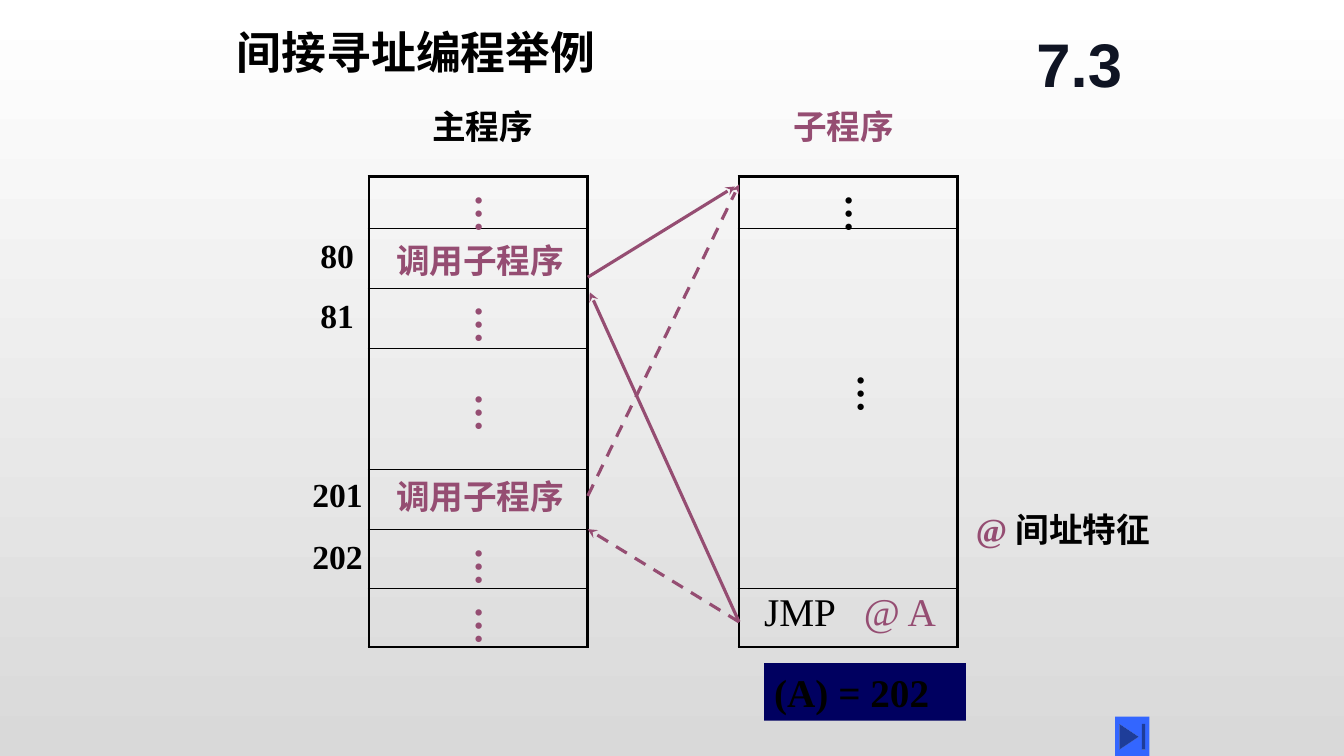
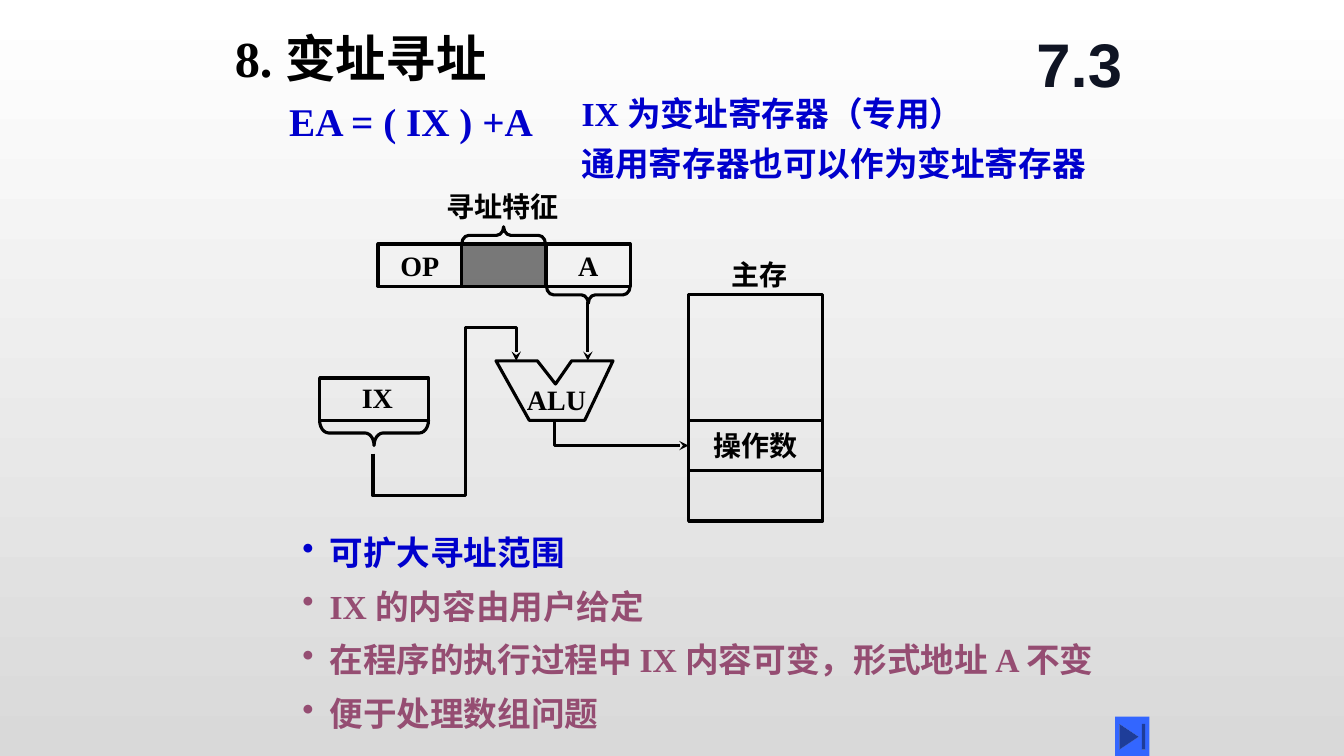
from pptx import Presentation
from pptx.dml.color import RGBColor
from pptx.enum.dml import MSO_LINE
from pptx.enum.shapes import MSO_CONNECTOR, MSO_SHAPE
from pptx.enum.text import MSO_ANCHOR as ANCHOR, MSO_AUTO_SIZE as AUTO, PP_ALIGN as ALIGN
from pptx.oxml.ns import qn
from pptx.util import Pt
from lxml.etree import SubElement

PX = 9144
COLORS = {
    "ink": "000000", "plum": "954D72", "blue": "0000CC", "navy": "000060",
    "section": "0F1423", "button": "3366FF", "sky": "FFFFFF", "ground": "D9D9D9",
}
SERIF, SANS = "Times New Roman", "Arial"
THICK, THIN = 2.25, 1


def px(*lengths):
    """Turn px lengths into a list of EMU."""
    return [round(length * PX) for length in lengths]


def rgb(color):
    """Look up a colour by its name."""
    return RGBColor.from_string(COLORS[color])


def write(frame, *paragraphs, size=24, color="ink", bold=True, font=SERIF,
          align=ALIGN.LEFT, before=0, spacing=None, bullet=0, tab=0):
    """Fill a text frame; a paragraph is a string or a list of (text, colour) runs."""
    for index, content in enumerate(paragraphs):
        paragraph = frame.add_paragraph() if index else frame.paragraphs[0]
        properties = paragraph._p.get_or_add_pPr()
        if bullet:
            properties.set("marL", str(bullet * PX))
            properties.set("indent", str(-bullet * PX))
            SubElement(properties, qn("a:buChar"), char="•")
        if tab:
            stops = SubElement(properties, qn("a:tabLst"))
            SubElement(stops, qn("a:tab"), pos=str(tab * PX), algn="l")
        paragraph.alignment = align
        if spacing:
            paragraph.line_spacing = spacing
        if index and before:
            paragraph.space_before = Pt(before)
        runs = [(content, color)] if isinstance(content, str) else content
        for words, tint in runs:
            run = paragraph.add_run()
            run.text = words
            run.font.size, run.font.bold, run.font.name = Pt(size), bold, font
            run.font.color.rgb = rgb(tint)


def label(slide, x, y, w, h, *paragraphs, vertical=False, anchor=ANCHOR.TOP, grow=True, **style):
    """Add a text box."""
    box = slide.shapes.add_textbox(*px(x, y, w, h))
    frame = box.text_frame
    frame.word_wrap = True
    frame.vertical_anchor = anchor
    if grow:
        frame.auto_size = AUTO.SHAPE_TO_FIT_TEXT
    if vertical:
        box.element.txBody.bodyPr.set("vert", "eaVert")
    write(frame, *paragraphs, **style)


def dots(slide, x, y, color="plum"):
    """Add an upright ellipsis."""
    label(slide, x, y, 67, 50, "…", vertical=True, size=28, color=color)


def stroke(shape, color="ink", arrow=False, dashed=False):
    """Set the outline of a shape or connector."""
    shape.line.color.rgb = rgb(color)
    shape.line.width = Pt(THICK)
    if dashed:
        shape.line.dash_style = MSO_LINE.DASH
    if arrow:
        outline = shape.element.spPr.find(qn("a:ln"))
        SubElement(outline, qn("a:tailEnd"), type="stealth")


def arrow(slide, start, end, **style):
    """Add a straight arrow."""
    link = slide.shapes.add_connector(MSO_CONNECTOR.STRAIGHT, *px(*start, *end))
    stroke(link, arrow=True, **style)
    SubElement(link.element.spPr, qn("a:effectLst"))


def block(slide, x, y, w, h, words=None, kind=MSO_SHAPE.RECTANGLE, fill=None, alpha=None,
          outlined=True, size=20, align=ALIGN.CENTER):
    """Add a preset shape with optional text."""
    shape = slide.shapes.add_shape(kind, *px(x, y, w, h))
    shape.shadow.inherit = False
    if fill:
        shape.fill.solid()
        shape.fill.fore_color.rgb = rgb(fill)
    else:
        shape.fill.background()
    if alpha:
        tint = shape.element.spPr.find(qn("a:solidFill"))[0]
        SubElement(tint, qn("a:alpha"), val=str(alpha * 1000))
    if outlined:
        stroke(shape)
    else:
        shape.line.fill.background()
    if words:
        shape.text_frame.vertical_anchor = ANCHOR.MIDDLE
        write(shape.text_frame, words, size=size, align=align)
    return shape


def brace(slide, x, y, w, h, rotation, curl):
    """Add a lying brace that covers the given box."""
    shape = block(slide, x + (w - h) / 2, y + (h - w) / 2, h, w, kind=MSO_SHAPE.LEFT_BRACE)
    shape.rotation = rotation
    shape.adjustments[0] = curl


def path_line(slide, points, closed=False):
    """Add a closed outline, or an open path that ends in an arrowhead."""
    start, *rest = points
    builder = slide.shapes.build_freeform(*start, scale=PX)
    builder.add_line_segments(rest, close=closed)
    shape = builder.convert_to_shape()
    shape.shadow.inherit = False
    shape.fill.background()
    stroke(shape, arrow=not closed)


def memory_table(slide, x, y, w, heights):
    """Add a one-column table with a thick frame and thin rules."""
    table = slide.shapes.add_table(len(heights), 1, *px(x, y, w, sum(heights))).table
    table.first_row = table.horz_banding = False
    last = len(heights) - 1
    for index, height in enumerate(heights):
        table.rows[index].height = height * PX
        cell = table.cell(index, 0)
        cell.fill.background()
        properties = cell._tc.get_or_add_tcPr()
        widths = {"lnL": THICK, "lnR": THICK, "lnT": THIN if index else THICK,
                  "lnB": THICK if index == last else THIN}
        for place, (side, width) in enumerate(widths.items()):
            border = SubElement(properties, qn(f"a:{side}"), w=str(Pt(width)))
            paint = SubElement(border, qn("a:solidFill"))
            SubElement(paint, qn("a:srgbClr"), val=COLORS["ink"])
            properties.insert(place, border)


def main_program(slide, x, y, w):
    """Draw the main program column with its addresses."""
    label(slide, x + 25, y - 75, 175, 50, "主程序", align=ALIGN.CENTER)
    memory_table(slide, x, y, w, [52, 59, 60, 120, 59, 59, 58])
    for top in (58, 292):
        label(slide, x + 17, y + top, 192, 50, "调用子程序", color="plum")
    for top in (8, 118, 206, 358, 417):
        dots(slide, x + 83, y + top)
    for address, left, top in (("80", 58, 53), ("81", 58, 113), ("201", 66, 290), ("202", 66, 352)):
        label(slide, x - left, y + top, 83, 50, address)


def subprogram(slide, x, y, w):
    """Draw the subprogram column with its return jump."""
    label(slide, x + 16, y - 75, 175, 50, "子程序", color="plum", align=ALIGN.CENTER)
    memory_table(slide, x, y, w, [52, 357, 58])
    label(slide, x + 15, y + 403, 218, 57, [("JMP\t", "ink"), ("@ A", "plum")],
          size=28, bold=False, tab=99)
    dots(slide, x + 83, y + 8, "ink")
    dots(slide, x + 95, y + 187, "ink")
    label(slide, x + 225, y + 325, 225, 50, [("@ ", "plum"), ("间址特征", "ink")])
    block(slide, x + 25, y + 483, 200, 57, "(A) = 202", fill="navy", outlined=False,
          size=28, align=ALIGN.LEFT)


def instruction(slide, x, y):
    """Draw the instruction word and its braces."""
    w, h = 83, 42
    block(slide, x, y, w, h, "OP")
    block(slide, x + w, y, w, h, fill="ink", alpha=50)
    block(slide, x + 2 * w + 1, y, w, h, "A")
    label(slide, x + 48, y - 59, 151, 44, "寻址特征", size=20, align=ALIGN.CENTER)
    brace(slide, x + w, y - 17, w, 17, 90, 0.41)
    brace(slide, x + 2 * w + 1, y + h, w, 17, 270, 0.41)


def main_memory(slide, x, y):
    """Draw the main memory with the operand cell."""
    label(slide, x + 20, y - 41, 100, 44, "主存", size=20, align=ALIGN.CENTER)
    for top, height, words in ((0, 125, None), (125, 50, "操作数"), (175, 50, None)):
        block(slide, x, y + top, 133, height, words)


def adder(slide, x, y):
    """Draw the ALU."""
    outline = [(0, 0), (41, 0), (59, 23), (75, 0), (116, 0), (88, 59), (33, 59)]
    path_line(slide, [(x + dx, y + dy) for dx, dy in outline], closed=True)
    label(slide, x + 8, y + 17, 104, 44, "ALU", size=20, align=ALIGN.CENTER)


def index_register(slide, x, y):
    """Draw the index register and its brace."""
    block(slide, x, y, 108, 42)
    label(slide, x + 32, y - 2, 60, 44, "IX", size=20)
    brace(slide, x, y + 42, 108, 25, 270, 0.36)


def base_slide(deck):
    """Add a blank slide with the section number and the button."""
    slide = deck.slides.add_slide(deck.slide_layouts[6])
    label(slide, 1008, 16, 125, 92, "7.3", size=44, font=SANS, color="section",
          align=ALIGN.CENTER, anchor=ANCHOR.MIDDLE, grow=False)
    block(slide, 1106, 711, 34, 40, kind=MSO_SHAPE.ACTION_BUTTON_END, fill="button", outlined=False)
    return slide


def indirect_slide(deck):
    """Build the indirect addressing example."""
    slide = base_slide(deck)
    label(slide, 225, 20, 483, 64, "间接寻址编程举例", size=32)
    main_program(slide, 366, 175, 217)
    subprogram(slide, 733, 175, 217)
    arrow(slide, (583, 275), (729, 185), color="plum")
    arrow(slide, (733, 617), (585, 290), color="plum")
    arrow(slide, (583, 492), (733, 183), color="plum", dashed=True)
    arrow(slide, (733, 617), (583, 525), color="plum", dashed=True)


def indexed_slide(deck):
    """Build the indexed addressing slide."""
    slide = base_slide(deck)
    label(slide, 223, 22, 365, 71, "8. 变址寻址", size=36)
    label(slide, 277, 92, 285, 57, "EA = ( IX ) +A", size=28, color="blue")
    label(slide, 567, 92, 558, 96, "IX 为变址寄存器（专用）", "通用寄存器也可以作为变址寄存器",
          color="blue", spacing=0.9, before=9.7)
    instruction(slide, 375, 242)
    main_memory(slide, 683, 292)
    adder(slide, 492, 358)
    index_register(slide, 317, 375)
    arrow(slide, (583, 300), (583, 358))
    path_line(slide, [(550, 417), (550, 442), (683, 442)])
    path_line(slide, [(370, 450), (370, 492), (462, 492), (462, 325), (512, 325), (512, 358)])
    label(slide, 290, 523, 843, 210,
          [("可扩大寻址范围", "blue")], "IX 的内容由用户给定",
          "在程序的执行过程中 IX 内容可变，形式地址 A 不变", "便于处理数组问题",
          color="plum", bullet=27, before=9.5)


def main():
    """Build and save the deck."""
    deck = Presentation()
    deck.slide_width, deck.slide_height = px(1333, 750)
    backdrop = deck.slide_master.background.fill
    backdrop.gradient()
    backdrop.gradient_angle = 270
    for stop, color in zip(backdrop.gradient_stops, ("sky", "ground")):
        stop.color.rgb = rgb(color)
    indirect_slide(deck)
    indexed_slide(deck)
    deck.save("out.pptx")


if __name__ == "__main__":
    main()
